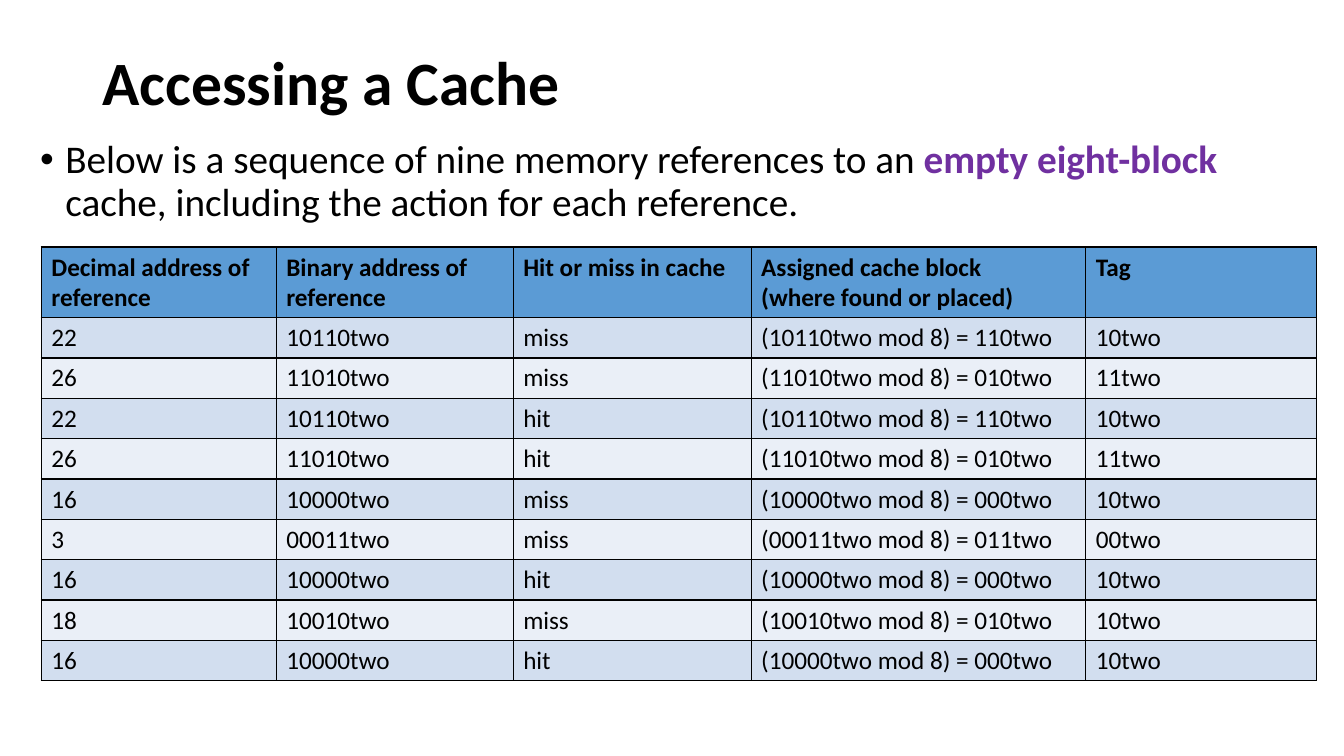
from lxml.etree import SubElement
from pptx import Presentation
from pptx.dml.color import RGBColor
from pptx.enum.text import MSO_ANCHOR as Anchor
from pptx.oxml.ns import qn
from pptx.util import Inches, Pt

BLACK, PURPLE = "000000", "7030A0"
HEADER_FILL, BAND_FILLS = "5B9BD5", ("D2DEEF", "EAEFF7")
HEADINGS = (
    "Decimal address of reference",
    "Binary address of reference",
    "Hit or miss in cache",
    "Assigned cache block\n(where found or placed)",
    "Tag",
)
REFERENCES = (22, 26, 22, 26, 16, 3, 16, 18, 16)
COLUMN_WIDTHS = (2.33, 2.35, 2.36, 3.32, 2.29)
HEADER_HEIGHT, ROW_HEIGHT = 0.7, 0.4
BLOCKS = 8


def color(hex_code):
    """Turn a hex string into a colour."""
    return RGBColor.from_string(hex_code)


def add_text(paragraph, text, size=18, bold=False, ink=BLACK):
    """Append a formatted run to a paragraph."""
    run = paragraph.add_run()
    run.text = text
    run.font.name = "Calibri"
    run.font.size = Pt(size)
    run.font.bold = bold
    run.font.color.rgb = color(ink)


def add_text_area(slide, left, top, width, height, anchor=Anchor.TOP):
    """Add a wrapping text box and return its first paragraph."""
    frame = slide.shapes.add_textbox(
        Inches(left), Inches(top), Inches(width), Inches(height)).text_frame
    frame.word_wrap = True
    frame.vertical_anchor = anchor
    paragraph = frame.paragraphs[0]
    paragraph.line_spacing = 0.9
    return paragraph


def add_bullet(paragraph, indent):
    """Give a paragraph a round bullet with a hanging indent."""
    properties = paragraph._p.get_or_add_pPr()
    properties.set("marL", str(Inches(indent)))
    properties.set("indent", str(-Inches(indent)))
    SubElement(properties, qn("a:buFont"), typeface="Arial")
    SubElement(properties, qn("a:buChar"), char="•")


def add_borders(cell):
    """Draw a thin black line on each side of a cell."""
    properties = cell._tc.get_or_add_tcPr()
    for side in ("a:lnL", "a:lnR", "a:lnT", "a:lnB"):
        line = SubElement(properties, qn(side), w=str(Pt(1)))
        fill = SubElement(line, qn("a:solidFill"))
        SubElement(fill, qn("a:srgbClr"), val=BLACK)


def fill_cell(cell, text, background, bold=False):
    """Write a cell's lines and set its borders and fill."""
    frame = cell.text_frame
    for index, line in enumerate(text.split("\n")):
        paragraph = frame.add_paragraph() if index else frame.paragraphs[0]
        add_text(paragraph, line, bold=bold)
    add_borders(cell)
    cell.fill.solid()
    cell.fill.fore_color.rgb = color(background)


def trace_references():
    """Return one row of text for each access to the empty cache."""
    cache, rows = {}, []
    for address in REFERENCES:
        tag, block = divmod(address, BLOCKS)
        outcome = "hit" if cache.get(block) == tag else "miss"
        cache[block] = tag
        binary = f"{address:05b}two"
        rows.append((str(address), binary, outcome,
                     f"({binary} mod {BLOCKS}) = {block:03b}two",
                     f"{tag:02b}two"))
    return rows


def add_access_table(slide, left, top):
    """Add the table of memory references."""
    rows = [HEADINGS, *trace_references()]
    height = HEADER_HEIGHT + ROW_HEIGHT * len(REFERENCES)
    table = slide.shapes.add_table(
        len(rows), len(HEADINGS), Inches(left), Inches(top),
        Inches(sum(COLUMN_WIDTHS)), Inches(height)).table
    for column, width in zip(table.columns, COLUMN_WIDTHS):
        column.width = Inches(width)
    for index, texts in enumerate(rows):
        is_header = index == 0
        table.rows[index].height = Inches(HEADER_HEIGHT if is_header else ROW_HEIGHT)
        background = HEADER_FILL if is_header else BAND_FILLS[(index - 1) % 2]
        for cell, text in zip(table.rows[index].cells, texts):
            fill_cell(cell, text, background, bold=is_header)


def main():
    """Build and save the slide."""
    deck = Presentation()
    deck.slide_width, deck.slide_height = Inches(13.33), Inches(7.5)
    slide = deck.slides.add_slide(deck.slide_layouts[6])

    title = add_text_area(slide, 0.92, 0.4, 11.5, 0.89, anchor=Anchor.MIDDLE)
    add_text(title, "Accessing a Cache", size=44, bold=True)

    intro = add_text_area(slide, 0.3, 1.34, 12.45, 1.06)
    intro.space_before = Pt(10)
    add_bullet(intro, 0.25)
    add_text(intro, "Below is a sequence of nine memory references to an ", size=28)
    add_text(intro, "empty eight-block ", size=28, bold=True, ink=PURPLE)
    add_text(intro, "cache, including the action for each reference.", size=28)

    add_access_table(slide, 0.41, 2.45)
    deck.save("out.pptx")


if __name__ == "__main__":
    main()
